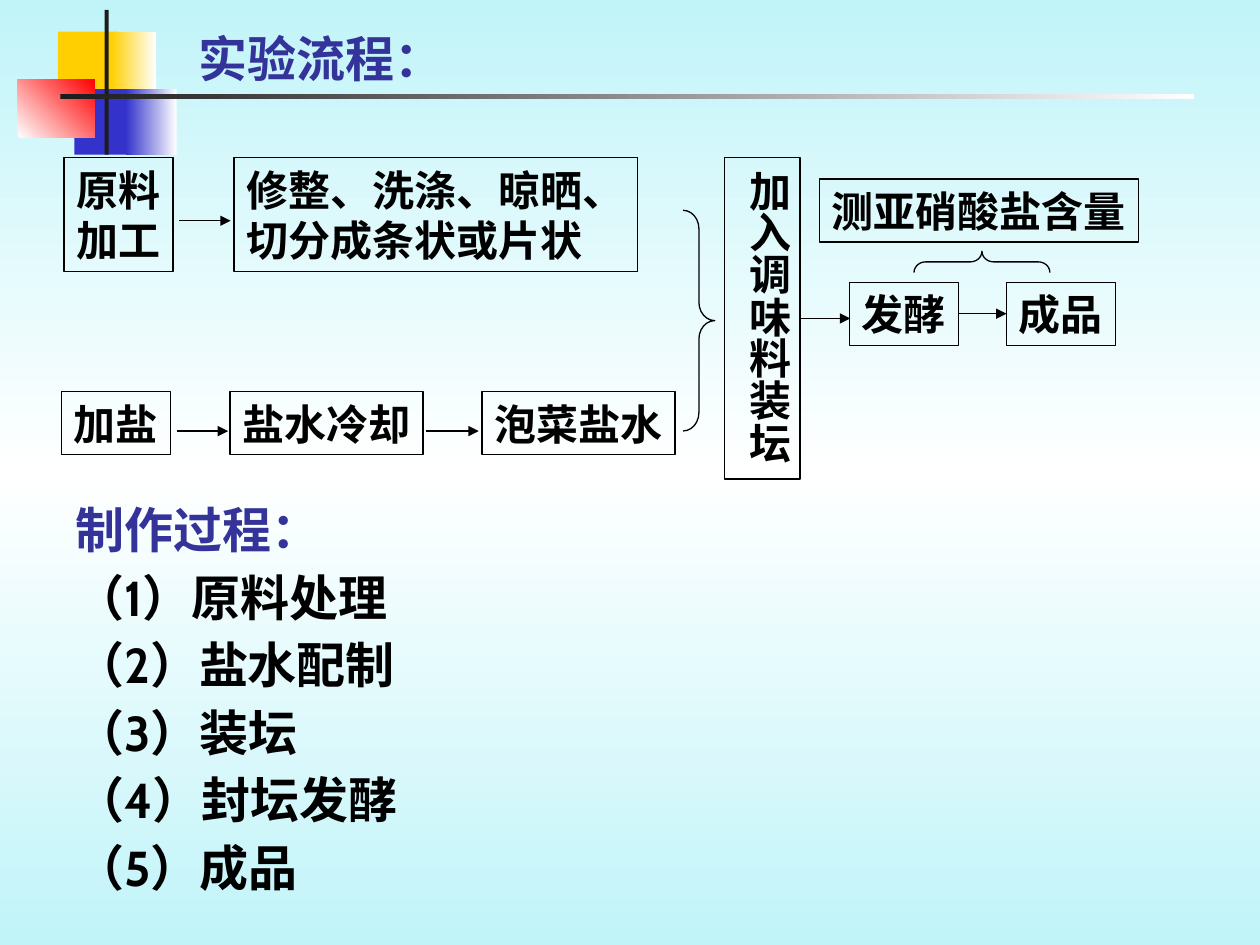
from collections import namedtuple
from dataclasses import dataclass
from copy import deepcopy

from pptx import Presentation
from pptx.dml.color import RGBColor
from pptx.enum.shapes import MSO_CONNECTOR, MSO_SHAPE
from pptx.enum.text import MSO_ANCHOR, MSO_AUTO_SIZE, PP_ALIGN
from pptx.oxml.ns import qn
from pptx.util import Cm, Pt

Box = namedtuple("Box", "left top width height")  # centimetres
Insets = namedtuple("Insets", "left top right bottom")  # centimetres
RIGHT, LEFT = 3, 1  # connection sites of a rectangle


@dataclass(frozen=True)
class Theme:
    font: str = "Cabin"
    ink: str = "000000"
    heading: str = "333399"
    sky: str = "C1F4F9"
    white: str = "FFFFFF"
    yellow: str = "FFCF01"
    blue: str = "3333CC"
    red: str = "FF0000"
    bar: str = "1C1C1C"
    large: int = 28
    small: int = 24
    line: float = 0.75


THEME = Theme()


def rgb(value):
    return RGBColor.from_string(value)


def lengths(region, left, top, width, height):
    """Slide lengths of a part placed relative to its region."""
    return Cm(region.left + left), Cm(region.top + top), Cm(width), Cm(height)


def paint(fill, colors, angle=0):
    """Solid fill for one colour, evenly spaced linear gradient for more."""
    if len(colors) == 1:
        fill.solid()
        fill.fore_color.rgb = rgb(colors[0])
        return
    fill.gradient()
    fill.gradient_angle = angle
    stops = fill.gradient_stops
    if len(colors) == 3:
        stop_list = fill._fill._gradFill.find(qn("a:gsLst"))
        stop_list.append(deepcopy(stop_list[0]))
        stops = fill.gradient_stops
    for index, color in enumerate(colors):
        stops[index].color.rgb = rgb(color)
        stops[index].position = index / (len(colors) - 1)


def write(frame, lines, size=THEME.small, color=THEME.ink, first_color=None,
          anchor=MSO_ANCHOR.TOP, spacing=None, insets=Insets(0.25, 0.13, 0.25, 0.13)):
    """Fill a text frame with one bold, left-aligned paragraph per line."""
    frame.word_wrap = True
    frame.auto_size = MSO_AUTO_SIZE.NONE
    frame.vertical_anchor = anchor
    frame.margin_left, frame.margin_top = Cm(insets.left), Cm(insets.top)
    frame.margin_right, frame.margin_bottom = Cm(insets.right), Cm(insets.bottom)
    for index, line in enumerate(lines):
        para = frame.add_paragraph() if index else frame.paragraphs[0]
        para.alignment = PP_ALIGN.LEFT
        para.space_before = Pt(0)
        if spacing:
            para.line_spacing = spacing
        span = para.add_run()
        span.text = line
        span.font.name = THEME.font
        span.font.size = Pt(size)
        span.font.bold = True
        span.font.color.rgb = rgb(first_color if first_color and not index else color)
        east_asian = span.font._element.makeelement(qn("a:ea"), {"typeface": THEME.font})
        span.font._element.find(qn("a:latin")).addnext(east_asian)


def add_outline(page, kind, place):
    shape = page.shapes.add_shape(kind, *place)
    shape.shadow.inherit = False
    shape.fill.background()
    shape.line.color.rgb = rgb(THEME.ink)
    shape.line.width = Pt(THEME.line)
    return shape


def add_arrow(page, region, start, end, begin=None, finish=None):
    (x1, y1), (x2, y2) = start, end
    arrow = page.shapes.add_connector(
        MSO_CONNECTOR.STRAIGHT, Cm(region.left + x1), Cm(region.top + y1),
        Cm(region.left + x2), Cm(region.top + y2))
    if begin is not None:
        arrow.begin_connect(begin, RIGHT)
    if finish is not None:
        arrow.end_connect(finish, LEFT)
    arrow.line.color.rgb = rgb(THEME.ink)
    arrow.line.width = Pt(THEME.line)
    line = arrow.line._get_or_add_ln()
    line.append(line.makeelement(qn("a:tailEnd"), {"type": "triangle"}))
    properties = arrow._element.spPr
    properties.append(properties.makeelement(qn("a:effectLst"), {}))


def add_brace(page, region, kind, place, bend, rotation=0):
    brace = add_outline(page, kind, lengths(region, *place))
    brace.adjustments[0] = bend
    brace.adjustments[1] = 0.5
    brace.rotation = rotation


def add_decoration(page, region):
    """Coloured blocks, upright bar and fading rule."""
    parts = [
        ((0.81, 0.44, 1.22, 1.32), [THEME.yellow], 0),
        ((1.88, 0.44, 0.91, 1.32), [THEME.yellow, THEME.white], 0),
        ((1.14, 1.6, 1.17, 1.32), [THEME.blue], 0),
        ((2.18, 1.6, 1.02, 1.32), [THEME.blue, THEME.white], 0),
        ((0, 1.4, 1.55, 1.17), [THEME.white, THEME.red], 45),
        ((1.75, 0, 0.08, 2.92), [THEME.bar], 0),
        ((0.86, 1.7, 22.86, 0.09), [THEME.bar, THEME.white], 0),
    ]
    for place, colors, angle in parts:
        block = page.shapes.add_shape(MSO_SHAPE.RECTANGLE, *lengths(region, *place))
        block.shadow.inherit = False
        block.line.fill.background()
        paint(block.fill, colors, angle)


def add_title(page, region):
    title = page.shapes.title
    title.left, title.top, title.width, title.height = map(Cm, region)
    write(title.text_frame, ["实验流程："], size=THEME.large, color=THEME.heading,
          anchor=MSO_ANCHOR.BOTTOM)


def add_flow(page, region):
    """Flow chart of the experiment."""
    # Steps with horizontal text; no right inset, so each line has room to spare
    single, double, short, medium = 1.27, 2.29, 2.2, 3.89
    salt_row, finish_row = 4.72, 2.51
    steps = [
        (["原料", "加工"], (0.05, 0, short, double)),
        (["修整、洗涤、晾晒、", "切分成条状或片状"], (3.48, 0, 8.13, double)),
        (["加盐"], (0, salt_row, short, single)),
        (["盐水冷却"], (3.4, salt_row, medium, single)),
        (["泡菜盐水"], (8.48, salt_row, medium, single)),
        (["发酵"], (15.88, finish_row, short, single)),
        (["成品"], (19.05, finish_row, short, single)),
        (["测亚硝酸盐含量"], (15.28, 0.43, 6.43, single)),
    ]
    boxes = {}
    for lines, place in steps:
        box = add_outline(page, MSO_SHAPE.RECTANGLE, lengths(region, *place))
        write(box.text_frame, lines, insets=Insets(0.25, 0.13, 0, 0.13))
        boxes[lines[0]] = box

    # Step with vertical text
    jar = add_outline(page, MSO_SHAPE.RECTANGLE, lengths(region, 13.37, 0, 1.52, 6.48))
    write(jar.text_frame, ["加入调味料装坛"], insets=Insets(0.13, 0.25, 0.13, 0.25))
    jar.text_frame._txBody.bodyPr.set("vert", "eaVert")

    # Arrows
    add_arrow(page, region, (2.37, 1.27), (3.41, 1.27))
    add_arrow(page, region, (2.32, 5.51), (3.36, 5.51))
    add_arrow(page, region, (7.35, 5.51), (8.41, 5.51))
    add_arrow(page, region, (14.89, 3.24), (15.9, 3.24), begin=jar)
    add_arrow(page, region, (18.08, 3.15), (19.05, 3.15),
              begin=boxes["发酵"], finish=boxes["成品"])

    # Braces
    add_brace(page, region, MSO_SHAPE.RIGHT_BRACE, (12.53, 1.06, 0.64, 4.45), 0.58)
    add_brace(page, region, MSO_SHAPE.LEFT_BRACE, (18.34, 0.73, 0.43, 2.74), 0.54, 90)


def add_process(page, region):
    """Heading and numbered steps."""
    names = ["原料处理", "盐水配制", "装坛", "封坛发酵", "成品"]
    lines = ["制作过程："] + [f"（{number}）{name}" for number, name in enumerate(names, 1)]
    box = page.shapes.add_textbox(*map(Cm, region))
    write(box.text_frame, lines, size=THEME.large, first_color=THEME.heading,
          anchor=MSO_ANCHOR.BOTTOM, spacing=1.15)


def main():
    deck = Presentation()
    deck.slide_width, deck.slide_height = Cm(25.4), Cm(19.05)
    page = deck.slides.add_slide(deck.slide_layouts[5])
    paint(page.background.fill, [THEME.sky, THEME.white, THEME.sky], 270)
    add_decoration(page, Box(0.36, 0.2, 23.72, 2.92))
    add_title(page, Box(3.76, 0.45, 18.06, 1.45))
    add_flow(page, Box(1.24, 3.18, 21.7, 6.48))
    add_process(page, Box(1.27, 9.74, 18.06, 8.46))
    deck.save("out.pptx")


if __name__ == "__main__":
    main()
